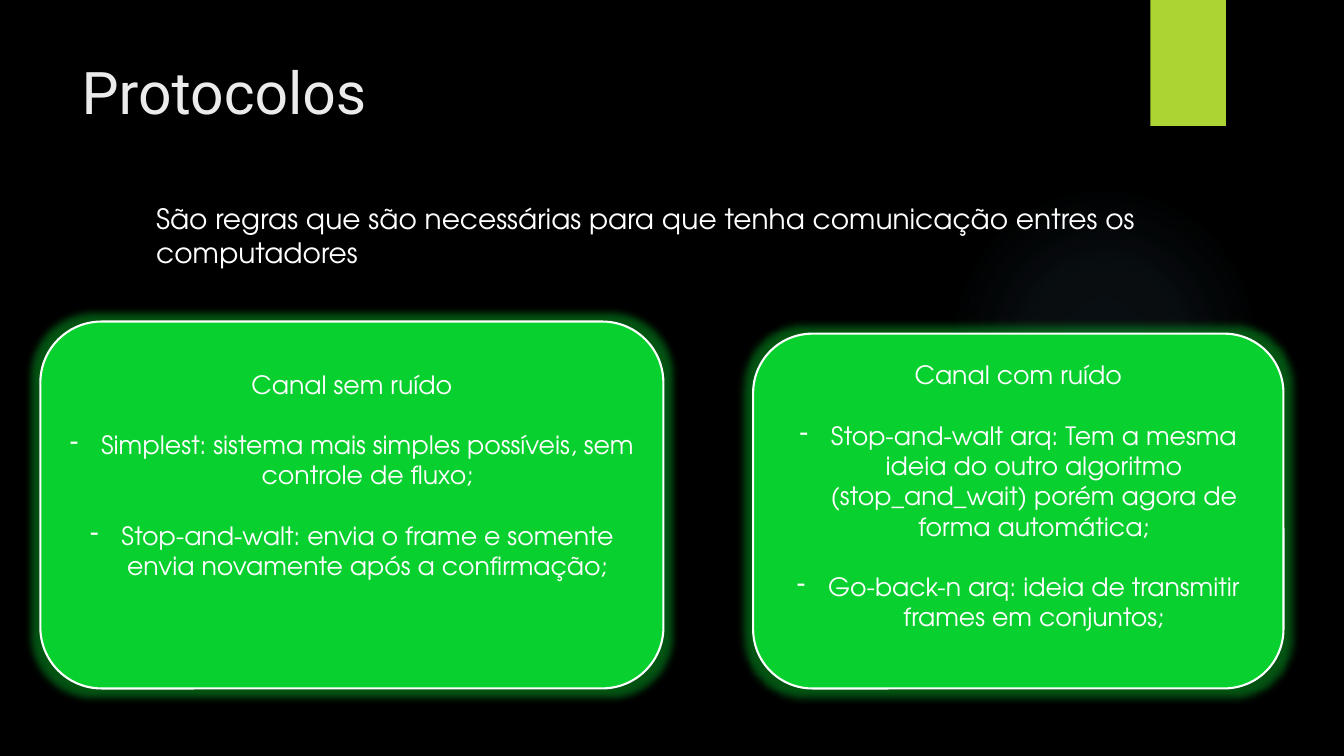
from pptx import Presentation
from pptx.dml.color import RGBColor
from pptx.enum.shapes import MSO_SHAPE as Shape
from pptx.enum.text import MSO_ANCHOR as Anchor, MSO_AUTO_SIZE as AutoSize, PP_ALIGN as Align
from pptx.oxml import parse_xml
from pptx.oxml.ns import nsdecls, qn
from pptx.util import Inches, Pt

WHITE = "FFFFFF"
GREEN = "08D02E"
LIME = "ACD433"
HALO_BLUE = "7AC4F0"
TITLE_GREY = "EBEBEB"
LINE_HEIGHT = 0.3

CARDS = [
    {
        "box": (0.4, 3.19, 6.18, 3.64),
        "heading": "Canal sem ruído",
        "items": [
            "Simplest: sistema mais simples possíveis, sem controle de fluxo;",
            "Stop-and-walt: envia o frame e somente envia novamente após a confirmação;",
        ],
        "free_lines": 2,
    },
    {
        "box": (7.47, 3.31, 5.26, 3.52),
        "heading": "Canal com ruído",
        "items": [
            "Stop-and-walt arq: Tem a mesma ideia do outro algoritmo "
            "(stop_and_wait) porém agora de forma automática;",
            "Go-back-n arq: ideia de transmitir frames em conjuntos;",
        ],
        "free_lines": 1,
    },
]


def color(hex_string):
    return RGBColor.from_string(hex_string)


def color_xml(hex_string, alpha):
    """Return a colour element whose opacity is given in percent."""
    return (f'<a:srgbClr {nsdecls("a")} val="{hex_string}">'
            f'<a:alpha val="{alpha * 1000}"/></a:srgbClr>')


class SlideBuilder:
    title_font = "Roboto"
    body_font = "TeX Gyre Adventor"

    def __init__(self, slide):
        self.slide = slide

    def background(self, hex_string):
        fill = self.slide.background.fill
        fill.solid()
        fill.fore_color.rgb = color(hex_string)

    def format_runs(self, paragraph, size, hex_string=WHITE, font=body_font):
        for run in paragraph.runs:
            run.font.size = Pt(size)
            run.font.name = font
            run.font.color.rgb = color(hex_string)

    def shape(self, kind, box, fill=None):
        shape = self.slide.shapes.add_shape(kind, *map(Inches, box))
        shape.shadow.inherit = False
        shape.line.fill.background()
        if fill:
            shape.fill.solid()
            shape.fill.fore_color.rgb = color(fill)
        return shape

    def halo(self, box, hex_string, stops):
        """Draw a circle that fades outwards; stops are (position, opacity)."""
        shape = self.shape(Shape.OVAL, box)
        shape.fill.background()
        properties = shape._element.spPr
        stops_xml = "".join(
            f'<a:gs pos="{position * 1000}">{color_xml(hex_string, alpha)}</a:gs>'
            for position, alpha in stops)
        gradient = parse_xml(
            f'<a:gradFill {nsdecls("a")}><a:gsLst>{stops_xml}</a:gsLst>'
            '<a:path path="circle"><a:fillToRect l="50000" t="50000" r="50000" b="50000"/>'
            '</a:path></a:gradFill>')
        properties.replace(properties.find(qn("a:noFill")), gradient)

    def title(self, text, box):
        title = self.slide.shapes.title
        title.left, title.top, title.width, title.height = map(Inches, box)
        frame = title.text_frame
        frame.text = text
        frame.auto_size = AutoSize.NONE
        frame.vertical_anchor = Anchor.TOP
        paragraph = frame.paragraphs[0]
        paragraph.alignment = Align.LEFT
        self.format_runs(paragraph, 42, TITLE_GREY, self.title_font)

    def body(self, text, box):
        frame = self.slide.shapes.add_textbox(*map(Inches, box)).text_frame
        frame.word_wrap = True
        frame.text = text
        paragraph = frame.paragraphs[0]
        paragraph.space_before = Pt(10)
        paragraph._p.get_or_add_pPr().set("marL", str(Inches(0.04)))
        self.format_runs(paragraph, 20)

    def dash(self, paragraph):
        """Give the paragraph a hanging dash bullet."""
        properties = paragraph._p.get_or_add_pPr()
        properties.set("marL", str(Inches(0.31)))
        properties.set("indent", str(-Inches(0.31)))
        properties.append(parse_xml(f'<a:buChar {nsdecls("a")} char="-"/>'))

    def card(self, box, heading, items, free_lines):
        """Draw a glowing card with free lines kept below its text."""
        card = self.shape(Shape.ROUNDED_RECTANGLE, box, GREEN)
        card.line.color.rgb = color(WHITE)
        card.line.width = Pt(1.5)
        card._element.spPr.find(qn("a:effectLst")).append(parse_xml(
            f'<a:glow {nsdecls("a")} rad="{Pt(11)}">{color_xml(GREEN, 40)}</a:glow>'))
        frame = card.text_frame
        frame.word_wrap = True
        frame.vertical_anchor = Anchor.MIDDLE
        frame.margin_bottom = Inches(0.05 + free_lines * LINE_HEIGHT)
        frame.text = heading
        for item in items:
            paragraph = frame.add_paragraph()
            paragraph.text = item
            paragraph.space_before = Inches(LINE_HEIGHT)
            self.dash(paragraph)
        for paragraph in frame.paragraphs:
            paragraph.alignment = Align.CENTER
            self.format_runs(paragraph, 18)


def main():
    presentation = Presentation()
    presentation.slide_width = Inches(13.33)
    presentation.slide_height = Inches(7.5)
    title_only = presentation.slide_layouts[5]
    builder = SlideBuilder(presentation.slides.add_slide(title_only))

    builder.background("000000")
    builder.halo((9.41, 1.83, 3.08, 3.08), HALO_BLUE, [(0, 7), (36, 6), (69, 0)])
    builder.shape(Shape.RECTANGLE, (11.41, 0, 0.75, 1.25), LIME)
    builder.title("Protocolos", (0.71, 0.5, 10.29, 1.53))
    builder.body("São regras que são necessárias para que tenha comunicação "
                 "entres os computadores", (1.41, 1.95, 11.32, 4.44))
    for card in CARDS:
        builder.card(**card)

    presentation.save("out.pptx")


if __name__ == "__main__":
    main()
